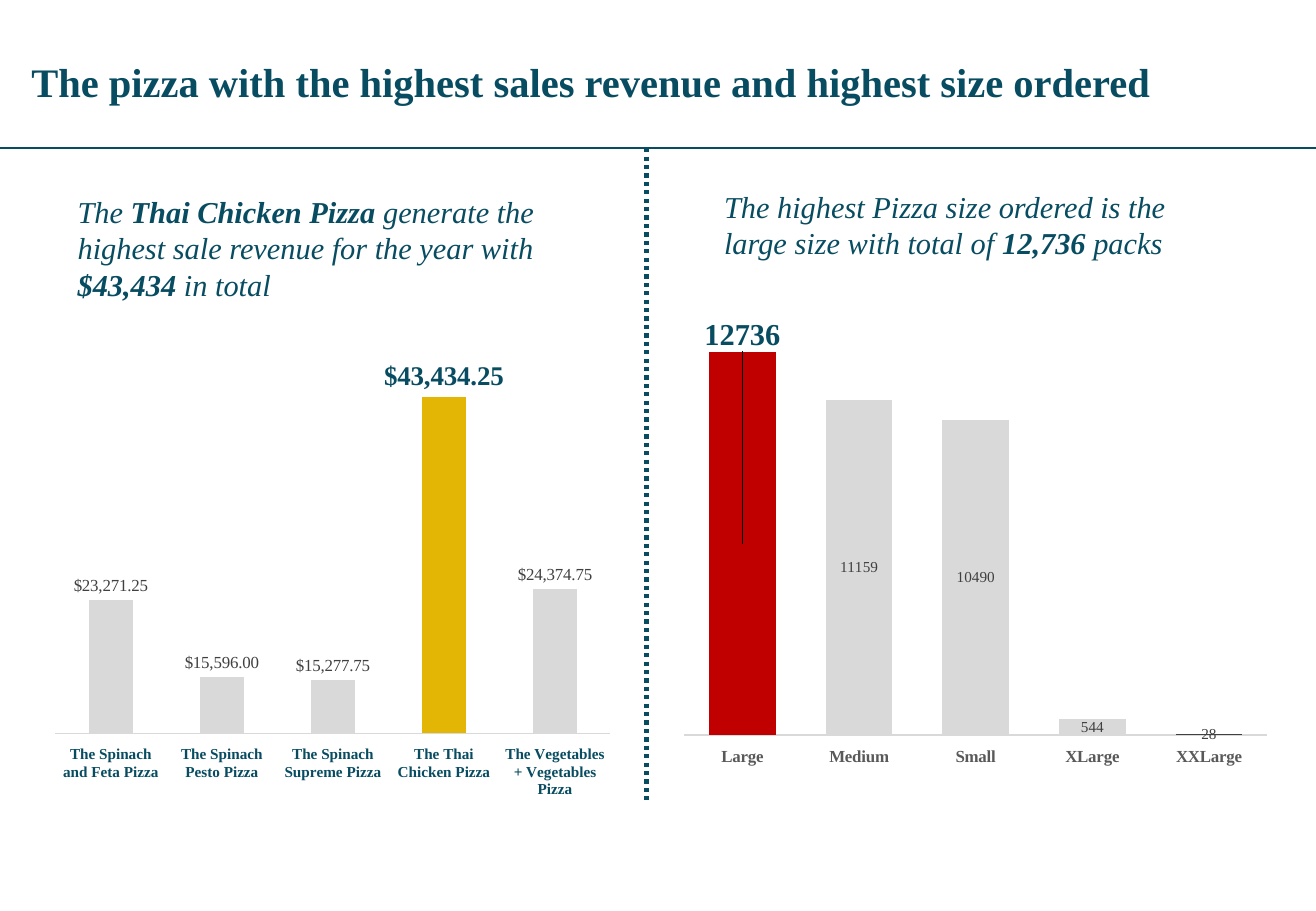
from lxml import etree
from pptx import Presentation
from pptx.chart.data import CategoryChartData
from pptx.dml.color import RGBColor
from pptx.enum.chart import XL_CHART_TYPE, XL_LABEL_POSITION, XL_TICK_LABEL_POSITION, XL_TICK_MARK
from pptx.enum.dml import MSO_LINE
from pptx.enum.shapes import MSO_CONNECTOR
from pptx.oxml.ns import qn
from pptx.util import Pt

CLUSTERED = XL_CHART_TYPE.COLUMN_CLUSTERED
STACKED = XL_CHART_TYPE.COLUMN_STACKED
OUTSIDE_END = XL_LABEL_POSITION.OUTSIDE_END
CENTER = XL_LABEL_POSITION.CENTER
LABELS_LOW = XL_TICK_LABEL_POSITION.LOW
NO_TICKS = XL_TICK_MARK.NONE
DOTTED = MSO_LINE.ROUND_DOT
STRAIGHT = MSO_CONNECTOR.STRAIGHT

TEAL = RGBColor(0x08, 0x4C, 0x61)
YELLOW = RGBColor(0xE3, 0xB5, 0x05)
RED = RGBColor(0xC0, 0x00, 0x00)
LIGHT_GREY = RGBColor(0xD9, 0xD9, 0xD9)
MID_GREY = RGBColor(0x59, 0x59, 0x59)
DARK_GREY = RGBColor(0x40, 0x40, 0x40)

FONT = "Times New Roman"
DOLLARS = '"$"#,##0.00'
EMU_PER_PX = 9144  # 100 px to the inch
WIDTH, HEIGHT = 1083, 750
RULE_Y, DIVIDER_X, DIVIDER_END = 122, 532, 661

PIZZA_SALES = {
    "The Spinach and Feta Pizza": 23271.25,
    "The Spinach Pesto Pizza": 15596,
    "The Spinach Supreme Pizza": 15277.75,
    "The Thai Chicken Pizza": 43434.25,
    "The Vegetables + Vegetables Pizza": 24374.75,
}
SIZE_ORDERS = {"Large": 12736, "Medium": 11159, "Small": 10490, "XLarge": 544, "XXLarge": 28}


def px(*values):
    return [v * EMU_PER_PX for v in values]


def set_font(font, size, color, bold=False, italic=False):
    font.name = FONT
    font.size = Pt(size)
    font.bold = bold
    font.italic = italic
    font.color.rgb = color


def add_text(slide, box, *parts, size, bold=False, italic=False):
    """Write parts as one paragraph; every second part is bold."""
    tf = slide.shapes.add_textbox(*px(*box)).text_frame
    tf.word_wrap = True
    p = tf.paragraphs[0]
    for i, text in enumerate(parts):
        r = p.add_run()
        r.text = text
        set_font(r.font, size, TEAL, bold or i % 2 == 1, italic)


def add_line(slide, start, end, width, dash=None):
    line = slide.shapes.add_connector(STRAIGHT, *px(*start, *end))
    line.line.color.rgb = TEAL
    line.line.width = Pt(width)
    if dash:
        line.line.dash_style = dash
    etree.SubElement(line._element.spPr, qn("a:effectLst"))


def set_layout(parent, index, **settings):
    """Give a chart part a manual layout, as fractions of the chart."""
    for old in parent.findall(qn("c:layout")):
        parent.remove(old)
    layout = etree.Element(qn("c:layout"))
    manual = etree.SubElement(layout, qn("c:manualLayout"))
    for name, value in settings.items():
        etree.SubElement(manual, qn(f"c:{name}")).set("val", str(value))
    parent.insert(index, layout)


def style_axes(chart, low, high, size, color):
    axis = chart.value_axis
    axis.minimum_scale, axis.maximum_scale = low, high
    axis.has_major_gridlines = False
    axis.visible = False
    axis = chart.category_axis
    axis.major_tick_mark = axis.minor_tick_mark = NO_TICKS
    axis.tick_label_position = LABELS_LOW
    axis.format.line.color.rgb = LIGHT_GREY
    axis.format.line.width = Pt(0.75)
    set_font(axis.tick_labels.font, size, color, bold=True)


def add_column_chart(slide, box, kind, values, colors, *, scale, plot_height, gap, overlap,
                     number_format, label_size, label_pos, axis_size, axis_color,
                     top_size, top_shift=None):
    """Add columns whose highest value carries a large label."""
    data = CategoryChartData(number_format=number_format)
    data.categories = list(values)
    data.add_series("Series 1", list(values.values()))
    chart = slide.shapes.add_chart(kind, *px(*box), data).chart
    chart.has_legend = chart.has_title = False
    set_font(chart.font, 10, DARK_GREY)
    style_axes(chart, *scale, axis_size, axis_color)
    set_layout(chart._chartSpace.chart.plotArea, 0, layoutTarget="inner", xMode="edge",
               yMode="edge", x=0.02, y=0.02, w=0.96, h=plot_height)

    plot = chart.plots[0]
    plot.gap_width, plot.overlap, plot.vary_by_categories = gap, overlap, False
    series = plot.series[0]
    for i, color in enumerate(colors):
        fill = series.points[i].format.fill
        fill.solid()
        fill.fore_color.rgb = color

    labels = series.data_labels
    labels.show_value = True
    labels.number_format = number_format
    labels.number_format_is_linked = False
    labels.position = label_pos
    set_font(labels.font, label_size, DARK_GREY)

    amounts = list(values.values())
    top_label = series.points[amounts.index(max(amounts))].data_label
    set_font(top_label.font, top_size, TEAL, bold=True)
    top_label.position = label_pos
    if top_shift is not None:
        set_layout(series._element.find(".//" + qn("c:dLbl")), 1, x=0, y=top_shift)


def main():
    prs = Presentation()
    prs.slide_width, prs.slide_height = px(WIDTH, HEIGHT)
    slide = prs.slides.add_slide(prs.slide_layouts[6])

    add_column_chart(
        slide, (36, 222, 476, 439), CLUSTERED, PIZZA_SALES,
        [LIGHT_GREY] * 3 + [YELLOW, LIGHT_GREY], scale=(10000, 55000), plot_height=0.85,
        gap=150, overlap=-25, number_format=DOLLARS, label_size=10, label_pos=OUTSIDE_END,
        axis_size=9, axis_color=TEAL, top_size=16)
    add_column_chart(
        slide, (553, 251, 500, 381), STACKED, SIZE_ORDERS,
        [RED] + [LIGHT_GREY] * 3 + [DARK_GREY], scale=(0, 14000), plot_height=0.91,
        gap=75, overlap=100, number_format="General", label_size=9, label_pos=CENTER,
        axis_size=10, axis_color=MID_GREY, top_size=18, top_shift=-0.45)

    add_line(slide, (DIVIDER_X, RULE_Y), (DIVIDER_X, DIVIDER_END), 2.5, DOTTED)
    add_line(slide, (0, RULE_Y), (WIDTH, RULE_Y), 1.5)

    add_text(slide, (16, 42, 1051, 51),
             "The pizza with the highest sales revenue and highest size ordered",
             size=24, bold=True)
    add_text(slide, (54, 154, 425, 101), "The ", "Thai Chicken Pizza ",
             "generate the highest sale revenue for the year with ", "$43,434 ", "in total",
             size=18, italic=True)
    add_text(slide, (586, 150, 425, 71),
             "The highest Pizza size ordered is the large size with total of ", "12,736",
             " packs", size=18, italic=True)

    prs.save("out.pptx")


if __name__ == "__main__":
    main()
